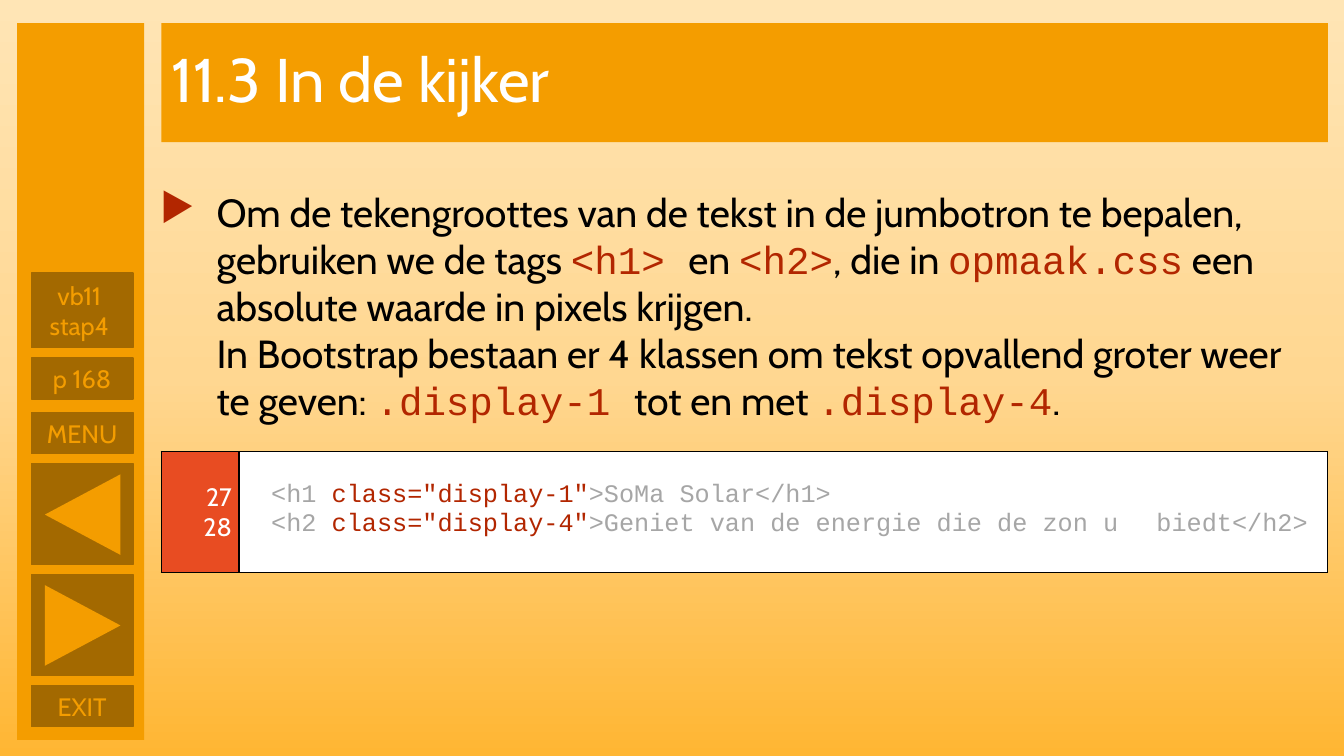
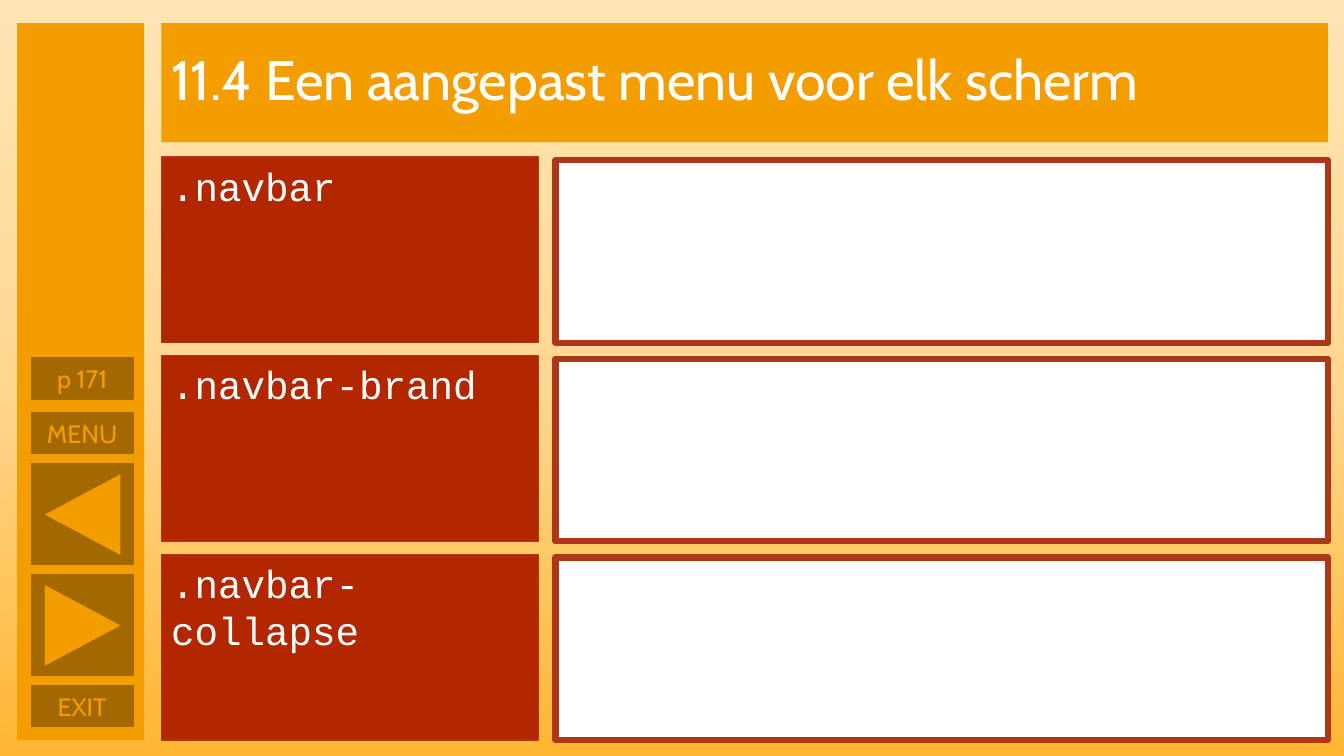
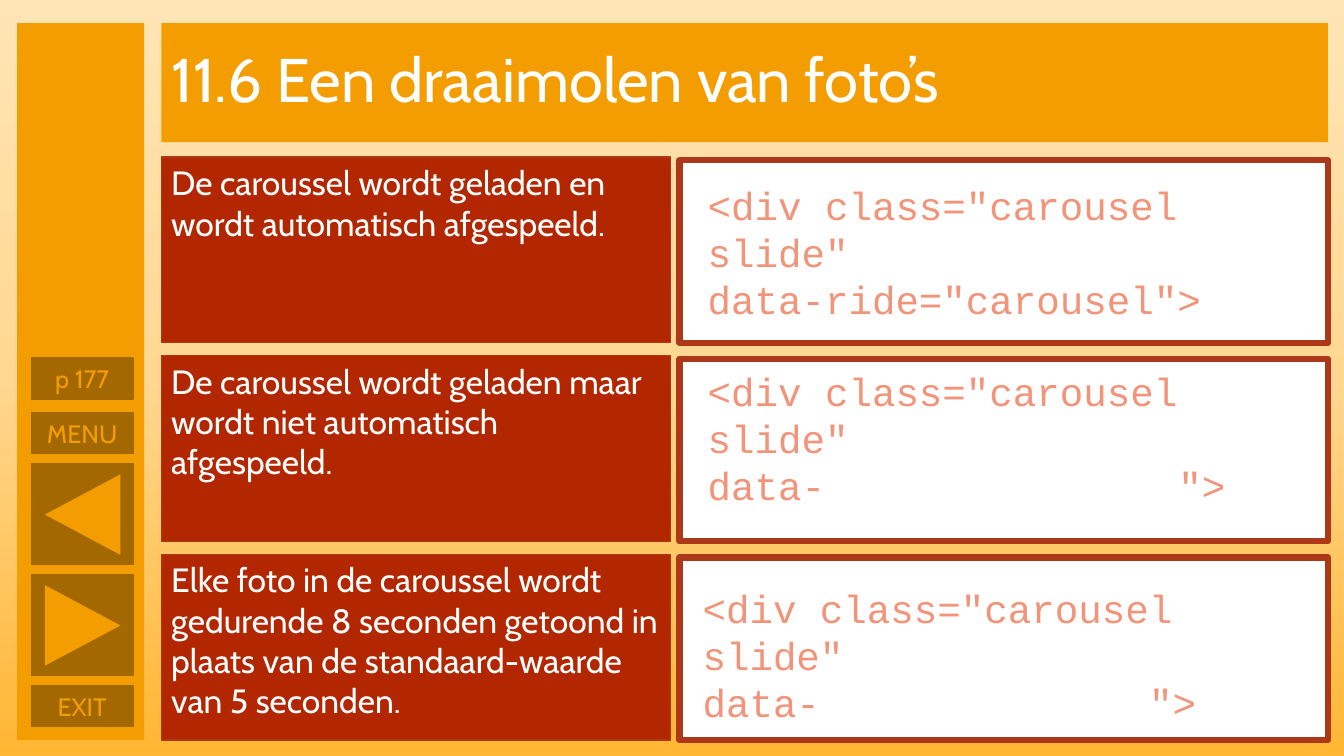
import dataclasses

import lxml.etree
import copy
import pptx
import pptx.dml.color
import pptx.enum.shapes
import pptx.enum.text
import pptx.oxml.ns
import pptx.util

Inches = pptx.util.Inches
Shapes = pptx.enum.shapes.MSO_SHAPE
Align = pptx.enum.text.PP_ALIGN
Anchor = pptx.enum.text.MSO_ANCHOR


@dataclasses.dataclass(frozen=True)
class TextStyle:
    """Size, font and colour of a run."""
    size: float
    font: str
    color: str


class Theme:
    """Colours and type sizes of the whole deck."""
    backdrop = ((0, "FFE5B5"), (0.5, "FFD791"), (1, "FFB633"))
    orange = "F49D00"
    brown = "A36900"
    red = "B22600"
    rust = "AC3819"
    number_fill = "E84C22"
    white = "FFFFFF"
    black = "000000"
    title = TextStyle(44, "Cabin", white)
    long_title = TextStyle(39.6, "Cabin", white)
    button = TextStyle(18, "Cabin", orange)
    body = TextStyle(28, "Cabin", black)
    keyword = TextStyle(28, "Courier New", red)
    class_name = TextStyle(28, "Courier New", white)
    statement = TextStyle(24, "Cabin", white)
    answer = TextStyle(28, "Courier New", "F1947A")
    line_number = TextStyle(18, "Cabin", white)
    code = TextStyle(18, "Courier New", "A6A6A6")
    code_focus = TextStyle(18, "Courier New", red)


CONTENT_LEFT, CONTENT_RIGHT = 1.6, 13.17
CONTENT_WIDTH = CONTENT_RIGHT - CONTENT_LEFT
ROW_TOP, ROW_PITCH, TILE_HEIGHT, FRAME_DROP = 1.56, 1.97, 1.84, 0.03


def rgb(color):
    """Turn a hex string into a colour."""
    return pptx.dml.color.RGBColor.from_string(color)


def add_xml(parent, tag, **attributes):
    """Append a drawing element to a parent."""
    return lxml.etree.SubElement(parent, pptx.oxml.ns.qn(tag), attributes)


def emu(inches):
    """Give a length in inches as XML text."""
    return str(int(Inches(inches)))


def style_run(run, style):
    """Apply a text style to a run."""
    run.font.size = pptx.util.Pt(style.size)
    run.font.name = style.font
    run.font.color.rgb = rgb(style.color)


def write(paragraph, text, style):
    """Set one-style text in a paragraph."""
    paragraph.text = text
    for run in paragraph.runs:
        style_run(run, style)


def write_pieces(paragraph, pieces):
    """Write pieces of text, each with its own style."""
    for text, style in pieces:
        for index, line in enumerate(text.split("\n")):
            if index:
                paragraph.add_line_break()
            run = paragraph.add_run()
            run.text = line
            style_run(run, style)


def add_tabs(paragraph, stops):
    """Add left tab stops, in inches, to a paragraph."""
    tab_list = add_xml(paragraph._p.get_or_add_pPr(), "a:tabLst")
    for stop in stops:
        add_xml(tab_list, "a:tab", pos=emu(stop), algn="l")


def add_block(slide, box, fill, line=None, weight=1, kind=Shapes.RECTANGLE):
    """Add a flat filled shape."""
    block = slide.shapes.add_shape(kind, *map(Inches, box))
    block.shadow.inherit = False
    block.fill.solid()
    block.fill.fore_color.rgb = rgb(fill)
    if line:
        block.line.color.rgb = rgb(line)
        block.line.width = pptx.util.Pt(weight)
    else:
        block.line.fill.background()
    return block


def add_label(slide, box, text, style, fill, line=None, align=Align.LEFT, anchor=Anchor.MIDDLE):
    """Add a filled rectangle with one paragraph."""
    frame = add_block(slide, box, fill, line).text_frame
    frame.word_wrap = True
    frame.vertical_anchor = anchor
    write(frame.paragraphs[0], text, style)
    frame.paragraphs[0].alignment = align
    return frame


def add_text_box(slide, box):
    """Add a wrapping text box and return its frame."""
    frame = slide.shapes.add_textbox(*map(Inches, box)).text_frame
    frame.word_wrap = True
    frame.auto_size = pptx.enum.text.MSO_AUTO_SIZE.SHAPE_TO_FIT_TEXT
    return frame


def paint_background(slide):
    """Fill the slide with the vertical gradient."""
    fill = slide.background.fill
    fill.gradient()
    fill.gradient_angle = 270
    first_stop = fill.gradient_stops[0]._gs
    first_stop.addnext(copy.deepcopy(first_stop))
    for stop, (position, color) in zip(fill.gradient_stops, Theme.backdrop):
        stop.position = position
        stop.color.rgb = rgb(color)


def add_sidebar(slide, box, page, step):
    """Add the navigation bar with its buttons and arrows."""
    left, top, _, _ = box
    add_block(slide, box, Theme.orange)
    button_left, button_width = left + 0.14, 1.01
    for offset, turn in ((5.47, 90), (4.37, 270)):
        add_block(slide, (button_left, top + offset, button_width, 1), Theme.brown, Theme.brown)
        arrow = add_block(slide, (button_left + 0.11, top + offset + 0.13, 0.8, 0.75),
                          Theme.orange, kind=Shapes.ISOSCELES_TRIANGLE)
        arrow.rotation = turn
    buttons = [("EXIT", 6.57, 0.41), ("MENU", 3.86, 0.41), (page, 3.32, 0.41)]
    if step:
        buttons.append((step, 2.48, 0.74))
    for text, offset, height in buttons:
        add_label(slide, (button_left, top + offset, button_width, height), text,
                  Theme.button, Theme.brown, Theme.brown, Align.CENTER)


def add_base_slide(deck, title, page, step=None, title_style=Theme.title):
    """Add a slide with background, navigation and title band."""
    slide = deck.slides.add_slide(deck.slide_layouts[6])
    paint_background(slide)
    add_sidebar(slide, (0.17, 0.23, 1.26, 7.11), page, step)
    band = add_label(slide, (CONTENT_LEFT, 0.23, CONTENT_WIDTH, 1.18), title,
                     title_style, Theme.orange)
    band.paragraphs[0].line_spacing = 0.9
    return slide


def add_explanation(slide, box, pieces):
    """Add the bulleted explanation."""
    paragraph = add_text_box(slide, box).paragraphs[0]
    properties = paragraph._p.get_or_add_pPr()
    properties.set("marL", emu(0.56))
    properties.set("indent", emu(-0.56))
    add_xml(add_xml(properties, "a:buClr"), "a:srgbClr", val=Theme.red)
    add_xml(properties, "a:buChar", char="▶")
    write_pieces(paragraph, pieces)


def format_cell(cell, fill, side_margin):
    """Give a cell its borders, margins and fill."""
    cell.margin_left = cell.margin_right = Inches(side_margin)
    cell.margin_top, cell.margin_bottom = Inches(0.3), 0
    properties = cell._tc.get_or_add_tcPr()
    for side in ("a:lnL", "a:lnR", "a:lnT", "a:lnB"):
        border = add_xml(properties, side, w=str(int(pptx.util.Pt(1))))
        add_xml(add_xml(border, "a:solidFill"), "a:srgbClr", val=Theme.black)
    cell.fill.solid()
    cell.fill.fore_color.rgb = rgb(fill)


def add_code_table(slide, box, numbered_lines):
    """Add the code listing with its line numbers."""
    listing = slide.shapes.add_table(1, 2, *map(Inches, box)).table
    listing.first_row = listing.horz_banding = False
    number_width = 0.77
    listing.columns[0].width = Inches(number_width)
    listing.columns[1].width = Inches(box[2] - number_width)
    numbers, code = listing.cell(0, 0), listing.cell(0, 1)
    format_cell(numbers, Theme.number_fill, 0.07)
    format_cell(code, Theme.white, 0.1)
    numbers.text_frame.text = "\n".join(number for number, _ in numbered_lines)
    code.text_frame.text = "\n" * (len(numbered_lines) - 1)
    for paragraph in numbers.text_frame.paragraphs:
        paragraph.alignment = Align.RIGHT
        style_run(paragraph.runs[0], Theme.line_number)
    for paragraph, (_, pieces) in zip(code.text_frame.paragraphs, numbered_lines):
        add_tabs(paragraph, (0.22, 0.42, 0.62))
        write_pieces(paragraph, pieces)


def add_pair_rows(slide, tile_width, frame_left, prompts, style):
    """Add rows of a red tile and a white frame; return the frame tops."""
    frame_tops = []
    for row, prompt in enumerate(prompts):
        top = ROW_TOP + row * ROW_PITCH
        add_label(slide, (CONTENT_LEFT, top, tile_width, TILE_HEIGHT), prompt, style,
                  Theme.red, Theme.rust, anchor=Anchor.TOP)
        add_block(slide, (frame_left, top + FRAME_DROP, CONTENT_RIGHT - frame_left,
                          TILE_HEIGHT - FRAME_DROP), Theme.white, Theme.rust, 4.5)
        frame_tops.append(top + FRAME_DROP)
    return frame_tops


def add_answer(slide, left, top, attribute, tab_stop):
    """Add the code of one carousel answer."""
    frame = add_text_box(slide, (left, top, 6.17, 1.04))
    write(frame.paragraphs[0], '<div class="carousel slide"', Theme.answer)
    ending = frame.add_paragraph()
    if tab_stop:
        add_tabs(ending, (tab_stop,))
    write(ending, attribute, Theme.answer)


def build_spotlight(deck):
    """Build the slide on the display classes."""
    slide = add_base_slide(deck, "11.3 In de kijker", "p 168", "vb11 \vstap4 ")
    body, keyword = Theme.body, Theme.keyword
    add_explanation(slide, (1.49, 1.82, 11.68, 2.46), (
        ("Om de tekengroottes van de tekst in de jumbotron te bepalen, "
         "gebruiken we de tags ", body),
        ("<h1> ", keyword), ("en ", body), ("<h2>", keyword), (", die in ", body),
        ("opmaak.css", keyword),
        (" een absolute waarde in pixels krijgen. \nIn Bootstrap bestaan er 4 klassen "
         "om tekst opvallend groter weer te geven: ", body),
        (".display-1 ", keyword), ("tot en met ", body), (".display-4", keyword), (".", body)))
    code, focus = Theme.code, Theme.code_focus
    add_code_table(slide, (CONTENT_LEFT, 4.48, CONTENT_WIDTH, 1.2), (
        ("27", (("\t<h1 ", code), ('class="display-1"', focus), (">SoMa Solar</h1>", code))),
        ("28", (("\t<h2", code), (' class="display-4"', focus),
                (">Geniet van de energie die de zon u \tbiedt</h2>", code)))))


def build_menu(deck):
    """Build the slide on the navbar classes."""
    slide = add_base_slide(deck, "11.4 Een aangepast menu voor elk scherm", "p 171",
                           title_style=Theme.long_title)
    add_pair_rows(slide, 3.74, 5.51, (".navbar", ".navbar-brand", ".navbar-collapse"),
                  Theme.class_name)


def build_carousel(deck):
    """Build the slide on the carousel attributes."""
    slide = add_base_slide(deck, "11.6 Een draaimolen van foto’s", "p 177")
    frame_left = 6.74
    frame_tops = add_pair_rows(slide, 5.05, frame_left, (
        "De caroussel wordt geladen en wordt automatisch afgespeeld.",
        "De caroussel wordt geladen maar wordt niet automatisch afgespeeld.",
        "Elke foto in de caroussel wordt gedurende 8 seconden getoond in plaats van "
        "de standaard-waarde van 5 seconden."), Theme.statement)
    answers = ((0.18, 0.16, 'data-ride="carousel">', None),
               (0.18, 0.03, 'data-\t">', 4.67),
               (0.13, 0.22, 'data-\t">', 4.43))
    for top, (indent, drop, attribute, tab_stop) in zip(frame_tops, answers):
        add_answer(slide, frame_left + indent, top + drop, attribute, tab_stop)


def main():
    """Build and save the deck."""
    deck = pptx.Presentation()
    deck.slide_width, deck.slide_height = Inches(13.33), Inches(7.5)
    build_spotlight(deck)
    build_menu(deck)
    build_carousel(deck)
    deck.save("out.pptx")


if __name__ == "__main__":
    main()
